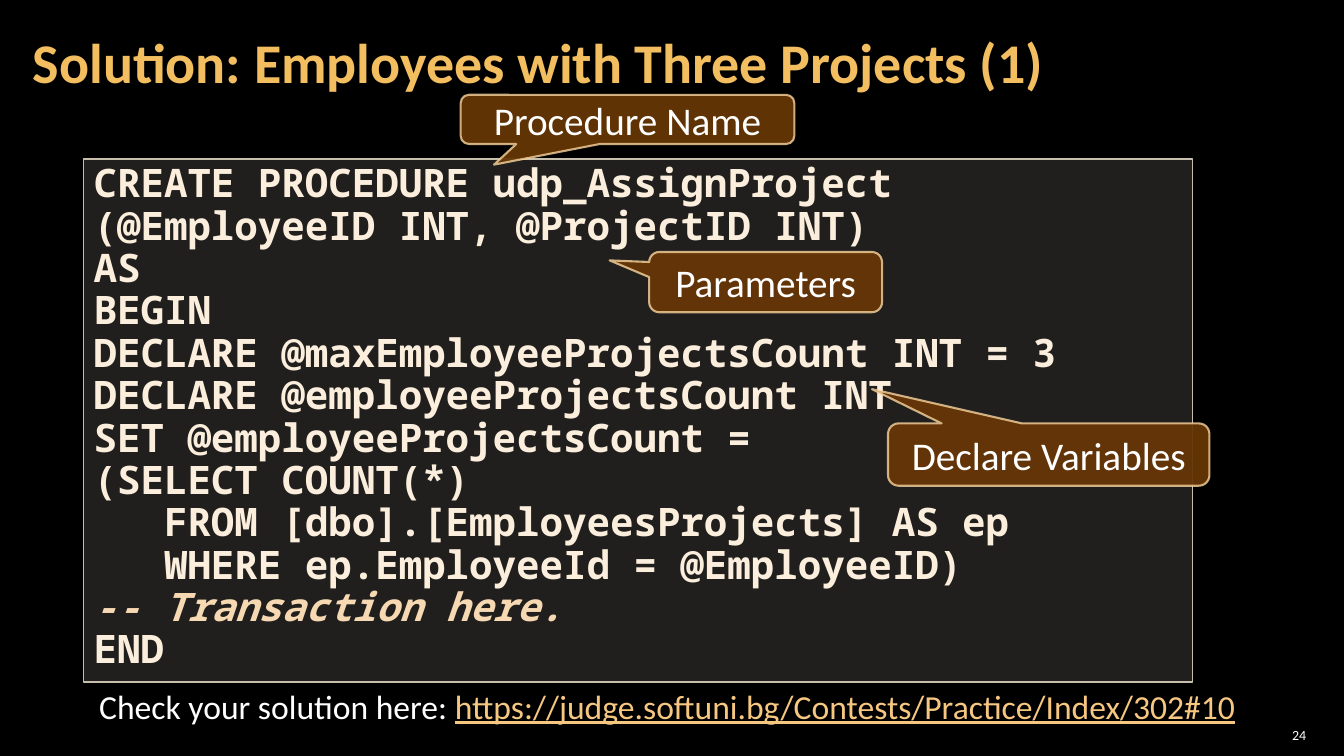
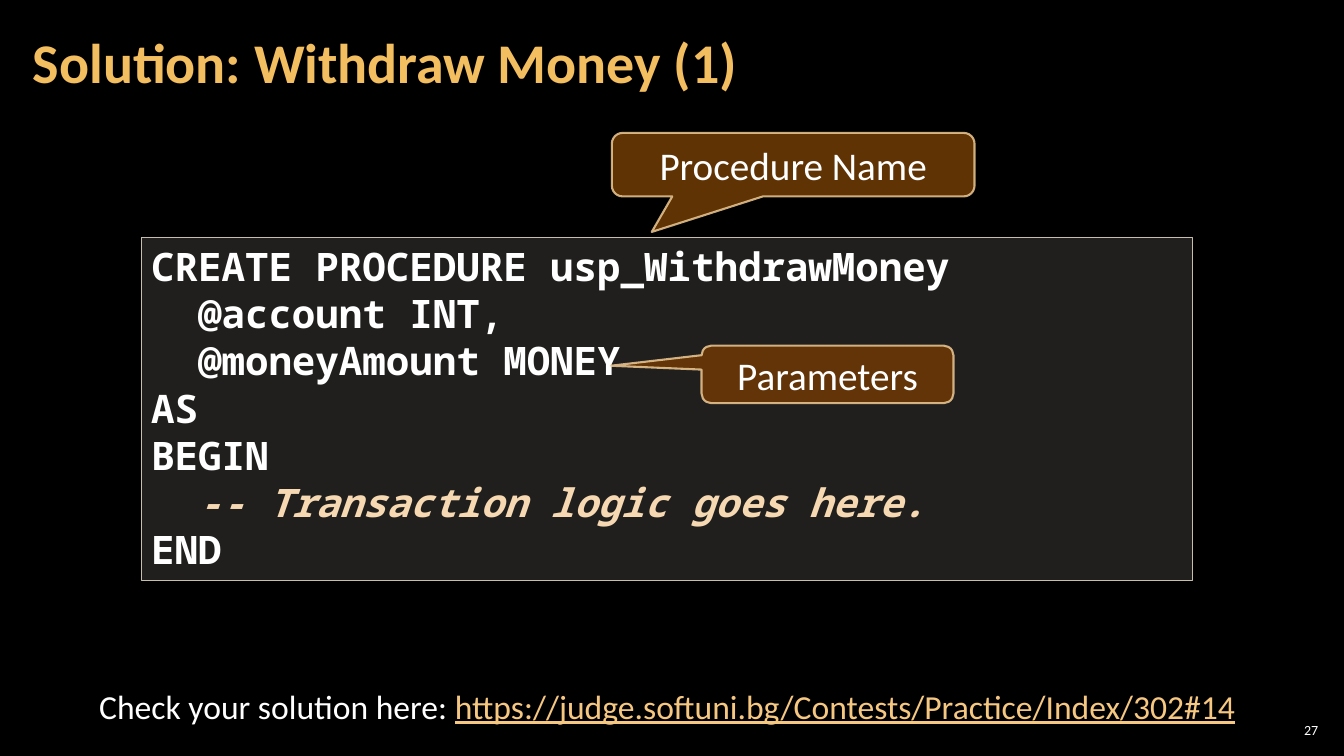
from pptx import Presentation
from pptx.dml.color import RGBColor as RGB
from pptx.enum.shapes import MSO_SHAPE as Shape
from pptx.enum.text import MSO_ANCHOR as Anchor, MSO_AUTO_SIZE as Auto, PP_ALIGN as Align
from pptx.oxml.ns import qn
from pptx.oxml.xmlchemy import OxmlElement as Node
from pptx.util import Cm, Pt


class Theme:
    back, white = "000000", "FFFFFF"
    title, cream = "F3BE60", "FBEEDC"
    note, link = "F6D9B2", "F6C781"
    panel, border = "D9D5C7", "C7BFAC"
    brown, edge = "663606", "F8D49E"
    sans, mono = "Calibri", "Noto Sans Mono"
    head, body, foot, tiny = Pt(40), Pt(28), Pt(24), Pt(10)


def write(para, text, size, color, font=Theme.sans, **flags):
    """Add a run of text; flags are font switches such as bold=True."""
    run = para.add_run()
    run.text = text
    run.font.name, run.font.size = font, size
    run.font.color.rgb = RGB.from_string(color)
    for flag, value in flags.items():
        setattr(run.font, flag, value)


def paint(shape, fill, line, width, alphas):
    """Set fill and line, with the opacity of each in percent."""
    shape.shadow.inherit = False
    shape.fill.solid()
    shape.fill.fore_color.rgb = RGB.from_string(fill)
    shape.line.color.rgb = RGB.from_string(line)
    shape.line.width = Pt(width)
    colors = shape.element.spPr.iter(qn("a:srgbClr"))
    for color, share in zip(list(colors), alphas):
        alpha = Node("a:alpha")
        alpha.set("val", str(share * 1000))
        color.append(alpha)


# Content: boxes are left, top, width, height in cm
pages = [
    dict(
        title="Solution: Employees with Three Projects (1)",
        code="""CREATE PROCEDURE udp_AssignProject
(@EmployeeID INT, @ProjectID INT)
AS
BEGIN
DECLARE @maxEmployeeProjectsCount INT = 3
DECLARE @employeeProjectsCount INT
SET @employeeProjectsCount =
(SELECT COUNT(*)
   FROM [dbo].[EmployeesProjects] AS ep
   WHERE ep.EmployeeId = @EmployeeID)
-- Transaction here.
END""",
        box=(2.11, 4.01, 27.94, 13.18), color=Theme.cream, space=0.9,
        calls=[
            ("Procedure Name", (11.61, 2.39, 8.41, 1.24), (-0.4, 0.92)),
            ("Parameters", (16.36, 6.35, 5.87, 1.52), (-0.67, -0.36)),
            ("Declare Variables", (22.38, 10.67, 8.1, 1.57), (-0.55, -1.05)),
        ],
        task="10", number="24", corner=(31.75, 18.21, 1.27, 0.64),
    ),
    dict(
        title="Solution: Withdraw Money (1)",
        code="""CREATE PROCEDURE usp_WithdrawMoney
  @account INT,
  @moneyAmount MONEY
AS
BEGIN
  -- Transaction logic goes here.
END""",
        box=(3.56, 5.99, 26.49, 8.64), color=Theme.white, space=1.0,
        calls=[
            ("Procedure Name", (15.42, 3.35, 9.14, 1.6), (-0.39, 1.06)),
            ("Parameters", (17.68, 8.71, 6.35, 1.45), (-0.86, -0.15)),
        ],
        task="14", number="27", corner=(32.13, 18.14, 1.19, 0.53),
    ),
]

# Shared size, background and title place
deck = Presentation()
deck.slide_width, deck.slide_height = Cm(33.87), Cm(19.05)
ground = deck.slide_master.background.fill
ground.solid()
ground.fore_color.rgb = RGB.from_string(Theme.back)
layout = deck.slide_layouts[5]
holder = layout.placeholders[0]
holder.left, holder.top = Cm(0.53), Cm(0.1)
holder.width, holder.height = Cm(26.59), Cm(3.07)

for page in pages:
    slide = deck.slides.add_slide(layout)
    shapes = slide.shapes

    # Title
    frame = shapes.title.text_frame
    frame.auto_size, frame.vertical_anchor = Auto.NONE, Anchor.MIDDLE
    frame.margin_left = frame.margin_right = Cm(0.3)
    frame.margin_top = frame.margin_bottom = Cm(0.1)
    para = frame.paragraphs[0]
    para.alignment, para.line_spacing = Align.LEFT, 0.9
    write(para, page["title"], Theme.head, Theme.title, bold=True)

    # Code panel
    panel = shapes.add_shape(Shape.RECTANGLE, *map(Cm, page["box"]))
    paint(panel, Theme.panel, Theme.border, 1, (15, 100))
    frame = panel.text_frame
    frame.word_wrap, frame.vertical_anchor = True, Anchor.TOP
    for row, line in enumerate(page["code"].split("\n")):
        para = frame.add_paragraph() if row else frame.paragraphs[0]
        para.alignment, para.line_spacing = Align.LEFT, page["space"]
        remark = line.lstrip().startswith("--")
        write(para, line, Theme.body, Theme.note if remark else page["color"],
              Theme.mono, bold=True, italic=remark)

    # Callouts
    for label, box, tip in page["calls"]:
        call = shapes.add_shape(Shape.ROUNDED_RECTANGULAR_CALLOUT, *map(Cm, box))
        for spot, value in enumerate((*tip, 0.17)):
            call.adjustments[spot] = value
        paint(call, Theme.brown, Theme.edge, 1.5, (95, 80))
        frame = call.text_frame
        frame.word_wrap, frame.vertical_anchor = True, Anchor.MIDDLE
        para = frame.paragraphs[0]
        para.alignment = Align.CENTER
        write(para, label, Theme.body, Theme.white)

    # Solution address
    frame = shapes.add_textbox(Cm(2.11), Cm(17.15), Cm(29.41), Cm(1.27)).text_frame
    frame.word_wrap = True
    para = frame.paragraphs[0]
    para.alignment = Align.CENTER
    write(para, "Check your solution here: ", Theme.foot, Theme.white)
    write(para, "https://judge.softuni.bg/Contests/Practice/Index/302#" + page["task"],
          Theme.foot, Theme.link, underline=True)

    # Slide number
    frame = shapes.add_textbox(*map(Cm, page["corner"])).text_frame
    frame.word_wrap, frame.vertical_anchor = True, Anchor.MIDDLE
    frame.margin_left = frame.margin_right = Cm(0.1)
    frame.margin_top = frame.margin_bottom = Cm(0.1)
    para = frame.paragraphs[0]
    para.alignment = Align.RIGHT
    write(para, page["number"], Theme.tiny, Theme.white)

deck.save("out.pptx")
